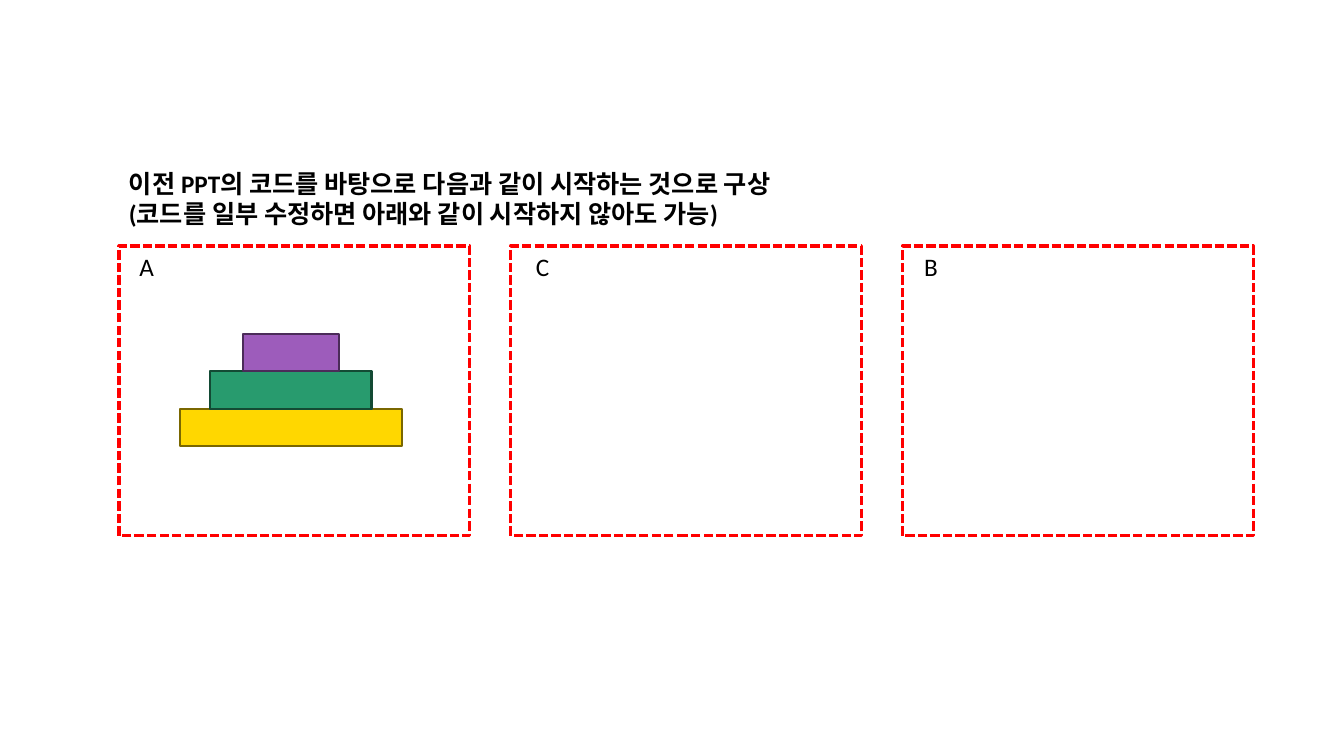
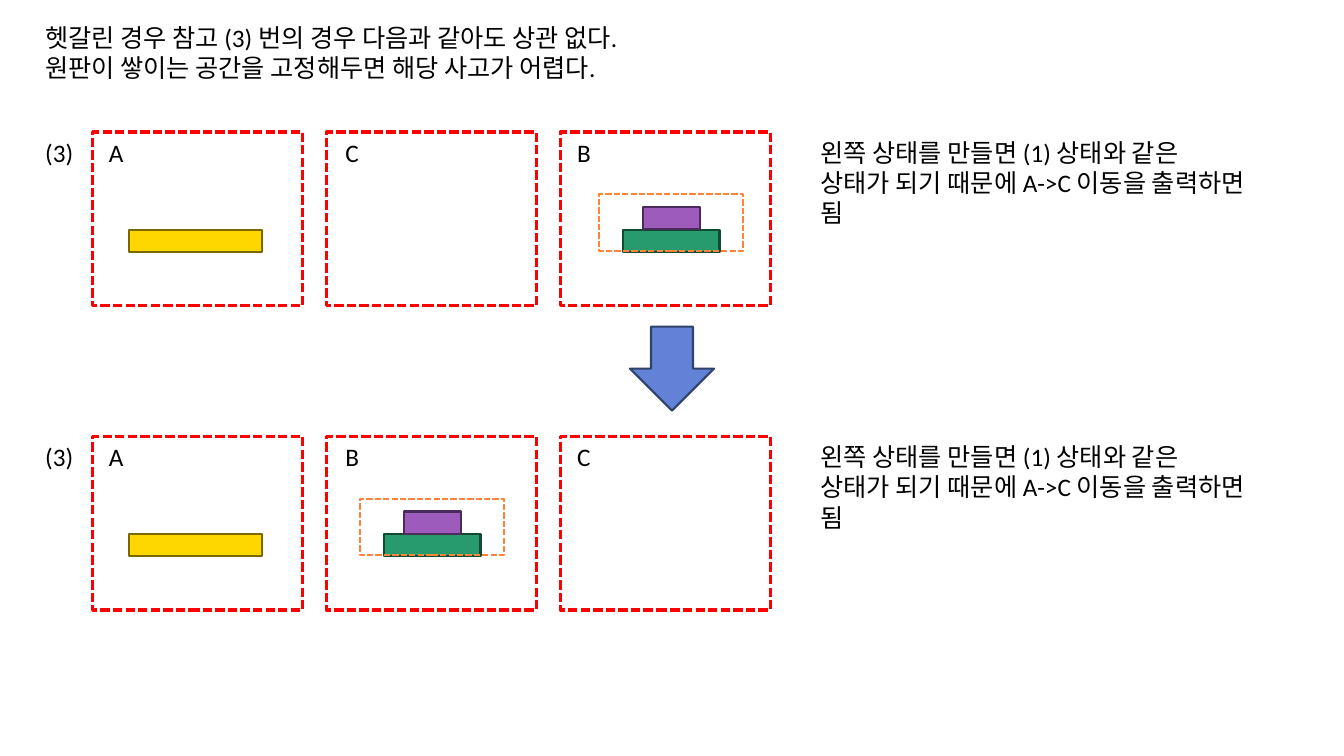
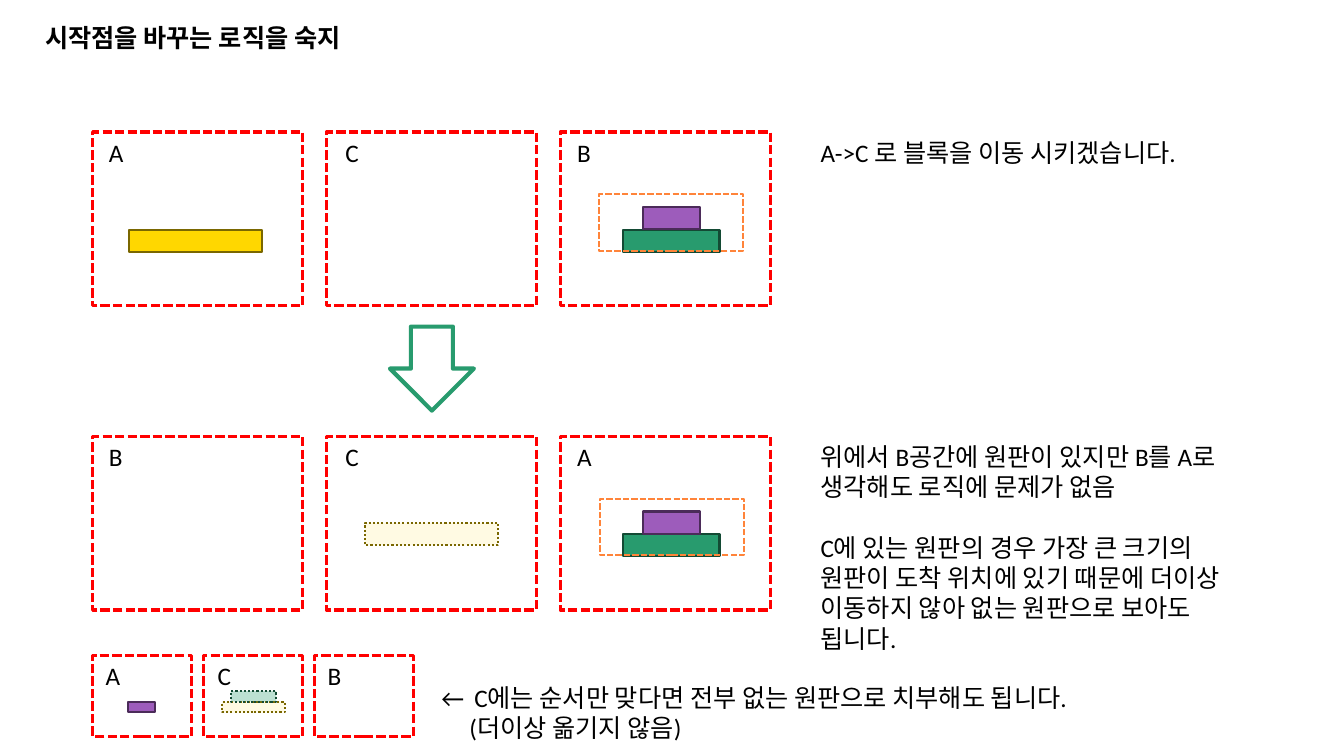
"""Build three slides that show how Tower of Hanoi pegs can swap roles."""
import lxml.etree
import pptx
import pptx.dml.color
import pptx.enum.dml
import pptx.enum.shapes
import pptx.enum.text
import pptx.oxml.ns
import pptx.util

Pt = pptx.util.Pt
RGBColor = pptx.dml.color.RGBColor
RECTANGLE = pptx.enum.shapes.MSO_SHAPE.RECTANGLE
DOWN_ARROW = pptx.enum.shapes.MSO_SHAPE.DOWN_ARROW
DASH = pptx.enum.dml.MSO_LINE.SQUARE_DOT
DOT = pptx.enum.dml.MSO_LINE.ROUND_DOT

BLACK = RGBColor(0x00, 0x00, 0x00)
RED = RGBColor(0xFF, 0x00, 0x00)
ORANGE = RGBColor(0xFF, 0x84, 0x3A)
GOLD = RGBColor(0xFF, 0xD7, 0x00)
DARK_GOLD = RGBColor(0x7A, 0x67, 0x00)
GREEN = RGBColor(0x28, 0x9B, 0x6E)
DARK_GREEN = RGBColor(0x13, 0x4A, 0x34)
PURPLE = RGBColor(0x9D, 0x5C, 0xBB)
DARK_PURPLE = RGBColor(0x4B, 0x2B, 0x59)
BLUE = RGBColor(0x61, 0x82, 0xD6)
DARK_BLUE = RGBColor(0x30, 0x41, 0x6A)

PEG_WIDTH, PEG_HEIGHT, DISK_HEIGHT = 150, 124, 16
LETTER_INSETS = (4.5, 6.5, 5)
FLOOR, SECOND_LEVEL = 85.7, 69.6
DISKS = {
    "large": (95, GOLD, DARK_GOLD),
    "medium": (69, GREEN, DARK_GREEN),
    "small": (41, PURPLE, DARK_PURPLE),
}


def add_block(slide, box, line, line_width, dash=None, fill=None, opacity=None, outline=RECTANGLE):
    block = slide.shapes.add_shape(outline, *[Pt(length) for length in box])
    block.shadow.inherit = False
    block.line.color.rgb = line
    block.line.width = Pt(line_width)
    if dash is not None:
        block.line.dash_style = dash
    if fill is None:
        block.fill.background()
        return
    block.fill.solid()
    block.fill.fore_color.rgb = fill
    if opacity is not None:
        qn = pptx.oxml.ns.qn
        colour = block.element.spPr.find(qn("a:solidFill")).find(qn("a:srgbClr"))
        lxml.etree.SubElement(colour, qn("a:alpha")).set("val", str(opacity * 1000))


def add_words(slide, box, lines, bold=False):
    frame = slide.shapes.add_textbox(*[Pt(length) for length in box]).text_frame
    frame.word_wrap = True
    frame.auto_size = pptx.enum.text.MSO_AUTO_SIZE.SHAPE_TO_FIT_TEXT
    frame.text = "\n".join(lines)
    for paragraph in frame.paragraphs:
        for run in paragraph.runs:
            run.font.name = "Calibri"
            run.font.size = Pt(18)
            run.font.bold = bold
            run.font.color.rgb = BLACK
    return frame.paragraphs


presentation = pptx.Presentation()
presentation.slide_width = Pt(960)
presentation.slide_height = Pt(540)
blank = presentation.slide_layouts[6]
start, either_order, new_start = [presentation.slides.add_slide(blank) for _ in range(3)]

UPPER, LOWER = 94.3, 311.8
pair_on_right = [("medium", 2, 79.3, FLOOR, None), ("small", 2, 79.3, SECOND_LEVEL, None)]
pair_in_middle = [("medium", 1, 75.6, FLOOR, None), ("small", 1, 75.6, SECOND_LEVEL, None)]
large_on_left = [("large", 0, 73.5, FLOOR, None)]
full_tower = large_on_left + [
    ("medium", 0, 73.5, SECOND_LEVEL, None),
    ("small", 0, 73.5, 53.6, None),
]
settled_large = [("large", 1, 75, 77.7, 11)]
settled_pair = [
    ("small", 0, 74.4, 87, None),
    ("large", 1, 75.9, 87, 11),
    ("medium", 1, 75.9, 70.5, 31),
]

rows = [
    (start, 1.67, 279.8, 85, 175.7, "ACB", full_tower, None),
    (either_order, 1, 167, 66.2, UPPER, "ACB", large_on_left + pair_on_right, (2, 79.3)),
    (either_order, 1, 167, 66.2, LOWER, "ABC", large_on_left + pair_in_middle, (1, 75.6)),
    (new_start, 1, 167, 66.2, UPPER, "ACB", large_on_left + pair_on_right, (2, 79.3)),
    (new_start, 1, 167, 66.2, LOWER, "BCA", pair_on_right + settled_large, (2, 80)),
    (new_start, 0.47, 79.2, 66.2, 468, "ACB", settled_pair, None),
]
for slide, scale, pitch, left, top, letters, disks, moving in rows:
    for peg in range(3):
        box = (left + peg * pitch, top, PEG_WIDTH * scale, PEG_HEIGHT * scale)
        add_block(slide, box, RED, 2.25, DASH)
    for size, peg, centre, bottom, opacity in disks:
        width, fill, edge = DISKS[size]
        box = (
            left + peg * pitch + (centre - width / 2) * scale,
            top + (bottom - DISK_HEIGHT) * scale,
            width * scale,
            DISK_HEIGHT * scale,
        )
        add_block(slide, box, edge, 1.5, DOT if opacity else None, fill, opacity)
    for peg, (letter, inset) in enumerate(zip(letters, LETTER_INSETS)):
        add_words(slide, (left + peg * pitch + inset * scale, top, 34.6 * scale, 28.4), [letter])
    if moving:
        peg, centre = moving
        add_block(slide, (left + peg * pitch + centre - 51.5, top + 44.6, 103, 40.3), ORANGE, 1.5, DASH)

add_words(start, (85, 116.6, 592.6, 49.7), [
    "이전 PPT의 코드를 바탕으로 다음과 같이 시작하는 것으로 구상",
    "(코드를 일부 수정하면 아래와 같이 시작하지 않아도 가능)",
], bold=True)

add_words(either_order, (25.2, 12.2, 592.6, 49.7), [
    "헷갈린 경우 참고 (3) 번의 경우 다음과 같아도 상관 없다.",
    "원판이 쌓이는 공간을 고정해두면 해당 사고가 어렵다.",
])
for top in (UPPER, LOWER):
    add_words(either_order, (25.2, top, 41, 28.4), ["(3)"])
    add_words(either_order, (579, top, 317.5, 71.3), [
        "왼쪽 상태를 만들면 (1) 상태와 같은 상태가 되기 때문에 A->C 이동을 출력하면 됨",
    ])
add_block(either_order, (450, 233.3, 60, 60), DARK_BLUE, 1.5, fill=BLUE, outline=DOWN_ARROW)

add_words(new_start, (25.2, 12.2, 592.6, 28.4), ["시작점을 바꾸는 로직을 숙지"], bold=True)
add_words(new_start, (579, UPPER, 317.5, 28.4), ["A->C 로 블록을 이동 시키겠습니다."])
add_block(new_start, (278.5, 233.3, 60, 60), GREEN, 3, outline=DOWN_ARROW)
swap_reason = add_words(new_start, (579, LOWER, 317.5, 158.4), [
    "위에서 B공간에 원판이 있지만 B를 A로 생각해도 로직에 문제가 없음",
    "C에 있는 원판의 경우 가장 큰 크기의 원판이 도착 위치에 있기 때문에 더이상 이동하지 않아 없는 원판으로 보아도 됩니다.",
])
swap_reason[1].space_before = Pt(21.6)

settled_note = add_words(new_start, (308.2, 483.8, 526.3, 50.4), [
    "←\tC에는 순서만 맞다면 전부 없는 원판으로 치부해도 됩니다.",
    "(더이상 옮기지 않음)",
])
for paragraph, margin, indent in zip(settled_note, (23.5, 20), (-23.5, 0)):
    properties = paragraph._p.get_or_add_pPr()
    properties.set("marL", str(Pt(margin)))
    properties.set("indent", str(Pt(indent)))

presentation.save("out.pptx")
